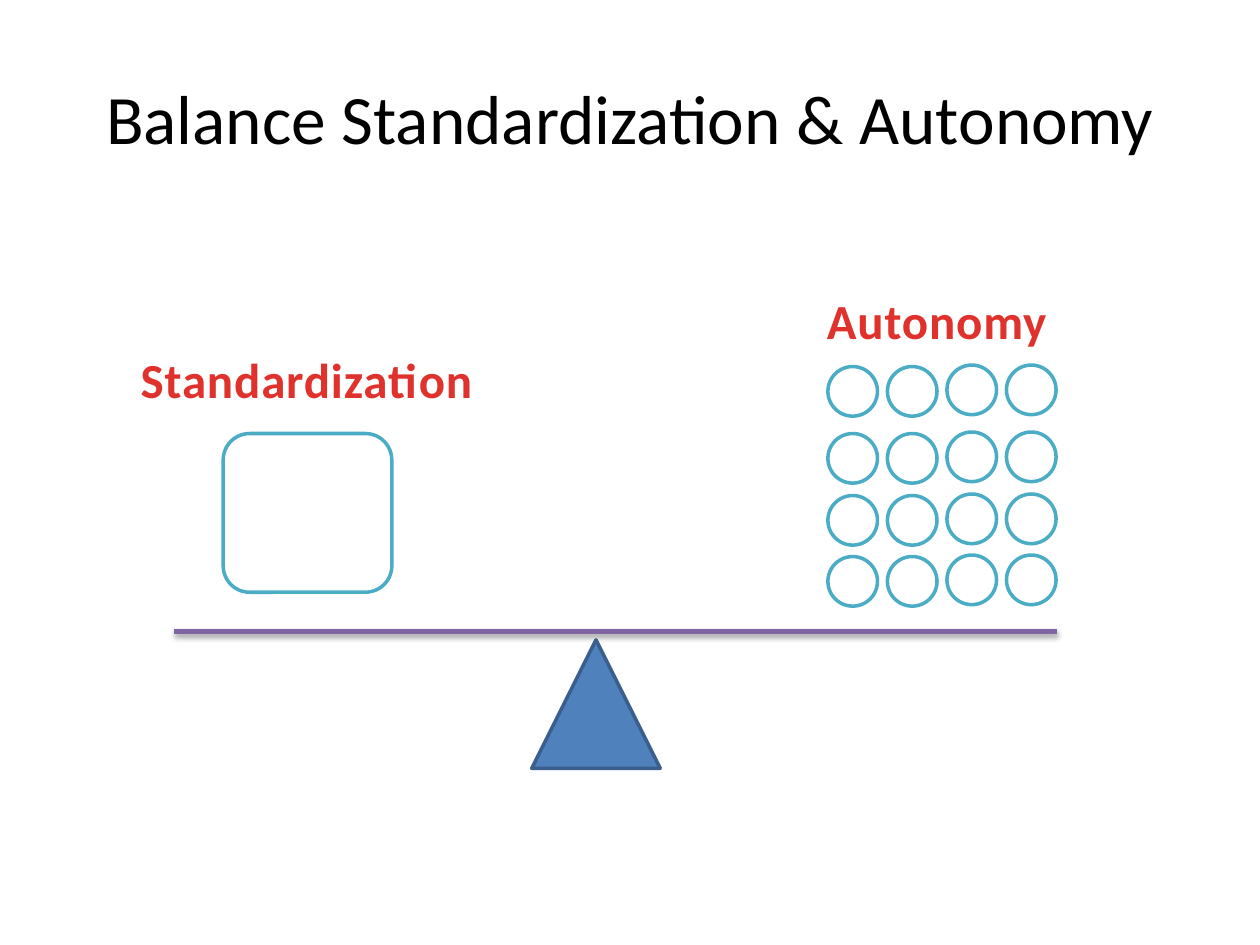
from dataclasses import dataclass
from lxml import etree
from pptx import Presentation
from pptx.dml.color import RGBColor
from pptx.enum import shapes, text
from pptx.oxml import ns, parse_xml
from pptx.util import Cm, Pt

KIND = shapes.MSO_SHAPE


@dataclass(frozen=True)
class Theme:
    face: str = "Calibri"
    ink: str = "000000"
    paper: str = "FFFFFF"
    label: str = "E0322D"
    ring: str = "4BACC6"
    beam: str = "8064A2"
    base: str = "4F81BD"
    edge: str = "3A5F8C"
    head: float = 39.6
    note: float = 28
    thin: float = 2
    thick: float = 3


THEME = Theme()


def color(code):
    return RGBColor.from_string(code)


def write(shape, words, size, code, bold=False):
    frame = shape.text_frame
    frame.word_wrap = True
    frame.auto_size = text.MSO_AUTO_SIZE.NONE
    para = frame.paragraphs[0]
    para.text = words
    para.alignment = text.PP_ALIGN.CENTER
    font = para.font
    font.name, font.size, font.bold = THEME.face, Pt(size), bold
    font.color.rgb = color(code)
    return para


def draw(slide, kind, box, fill, line):
    shape = slide.shapes.add_shape(kind, *map(Cm, box))
    shape.shadow.inherit = False
    shape.fill.solid()
    shape.fill.fore_color.rgb = color(fill)
    shape.line.color.rgb = color(line)
    shape.line.width = Pt(THEME.thin)


def label(slide, words, box):
    shape = slide.shapes.add_textbox(*map(Cm, box))
    para = write(shape, words, THEME.note, THEME.label, True)
    para.runs[0]._r.get_or_add_rPr().set("spc", "50")


def title(slide, words, box):
    shape = slide.shapes.title
    shape.left, shape.top, shape.width, shape.height = map(Cm, box)
    write(shape, words, THEME.head, THEME.ink)
    shape.text_frame.vertical_anchor = text.MSO_ANCHOR.MIDDLE


def scale(slide, box):
    left, top, width, height = box
    beam = slide.shapes.add_connector(
        shapes.MSO_CONNECTOR.STRAIGHT,
        Cm(left), Cm(top), Cm(left + width), Cm(top))
    beam.line.color.rgb = color(THEME.beam)
    beam.line.width = Pt(THEME.thick)
    glow = parse_xml(
        f'<a:effectLst {ns.nsdecls("a")}>'
        f'<a:outerShdw blurRad="{Pt(3.1)}" dist="{Pt(1.8)}" dir="5400000" rotWithShape="0"/>'
        '</a:effectLst>')
    tint = etree.SubElement(glow[0], ns.qn("a:srgbClr"), val=THEME.ink)
    etree.SubElement(tint, ns.qn("a:alpha"), val="35000")
    beam._element.spPr.append(glow)
    gap = 0.17
    side = height - gap
    draw(slide, KIND.ISOSCELES_TRIANGLE,
         (left + 7.21, top + gap, side, side), THEME.base, THEME.edge)


def single(slide, words, box):
    left, top, width, height = box
    label(slide, words, (left, top, width, 1.45))
    draw(slide, KIND.ROUNDED_RECTANGLE,
         (left + 2.11, top + 1.81, 3.4, height - 1.81), THEME.paper, THEME.ring)


def many(slide, words, box):
    left, top, width, height = box
    label(slide, words, (left, top, width, 1.45))
    size, step = 1, 1.2
    for drop in (1.65, 3, 4.25, height - size):
        for col in range(4):
            lift = 0.03 if col > 1 else 0
            draw(slide, KIND.OVAL,
                 (left + 1.6 + col * step, top + drop - lift, size, size),
                 THEME.paper, THEME.ring)


def main():
    deck = Presentation()
    deck.slide_width, deck.slide_height = Cm(25.4), Cm(19.05)
    slide = deck.slides.add_slide(deck.slide_layouts[5])
    title(slide, "Balance Standardization & Autonomy", (1.27, 0.76, 22.86, 3.18))
    scale(slide, (3.51, 12.73, 17.8, 2.76))
    single(slide, "Standardization", (2.39, 6.93, 7.59, 5.01))
    many(slide, "Autonomy", (15.09, 5.74, 7.59, 6.48))
    deck.save("out.pptx")


if __name__ == "__main__":
    main()
